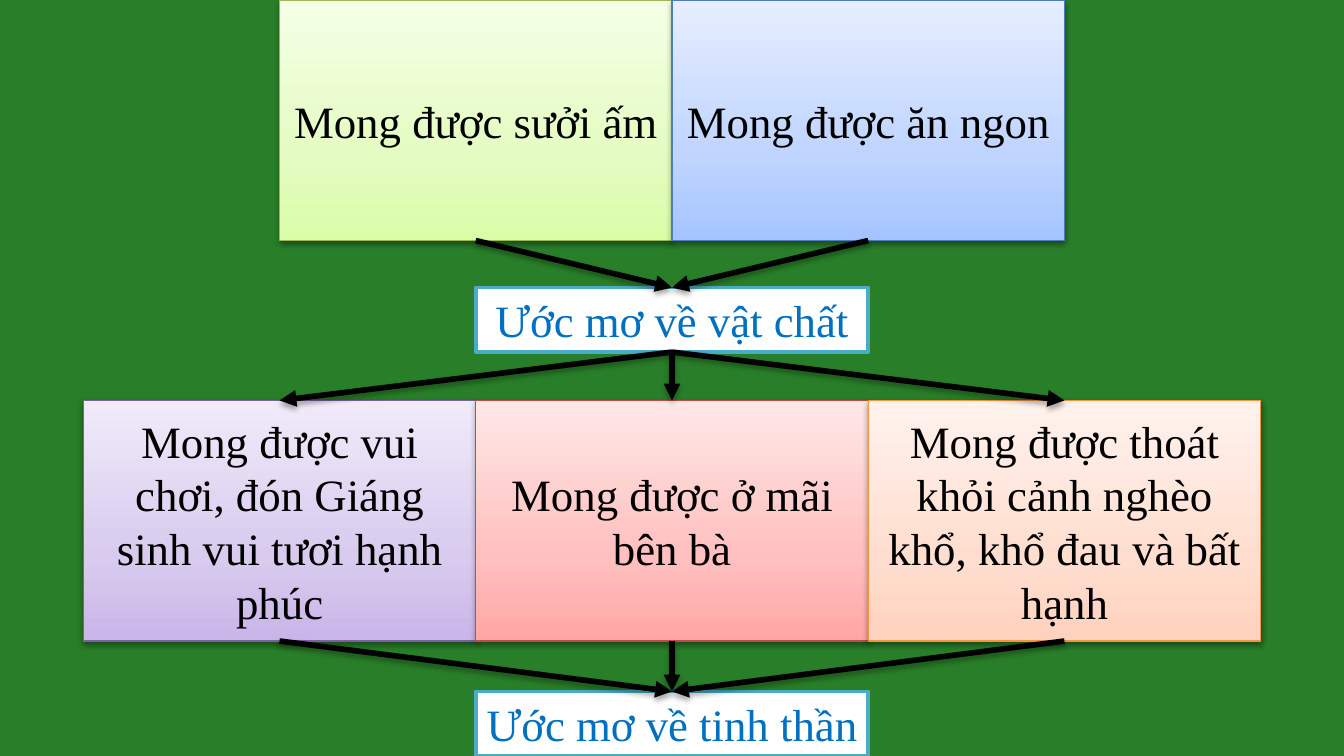
from lxml.etree import SubElement
from pptx import Presentation
from pptx.dml.color import RGBColor
from pptx.enum.shapes import MSO_CONNECTOR, MSO_SHAPE
from pptx.enum.text import MSO_ANCHOR, MSO_AUTO_SIZE, PP_ALIGN
from pptx.oxml.ns import qn
from pptx.util import Inches, Pt

# Each wish: text, gradient colours from bottom to top, outline colour
MATERIAL_WISHES = [
    ("Mong được sưởi ấm", ("DAFDA7", "E4FCC2", "F5FFE7"), "98B955"),
    ("Mong được ăn ngon", ("A4C4FF", "BFD4FF", "E6EEFF"), "4B7EBC"),
]
SPIRITUAL_WISHES = [
    ("Mong được vui chơi, đón Giáng sinh vui tươi hạnh phúc",
     ("C9B5E8", "D8CBEE", "F0EAF9"), "7D60A0"),
    ("Mong được ở mãi bên bà", ("FFA6A5", "FFC0BF", "FFE7E7"), "BF4C48"),
    ("Mong được thoát khỏi cảnh nghèo khổ, khổ đau và bất hạnh",
     ("FFD2BD", "FFDED0", "FFF2ED"), "F69240"),
]
MATERIAL_LABEL = "Ước mơ về vật chất"
SPIRITUAL_LABEL = "Ước mơ về tinh thần"

THEME = {
    "background": "297F29",
    "font": "Times New Roman",
    "size": 24,
    "wish_text": "000000",
    "label_text": "0070C0",
    "label_fill": "FFFFFF",
    "label_line": "4BACC6",
    "arrow": "000000",
    "shadow": "000000",
    "wish_line_width": 0.75,
    "label_line_width": 2,
    "arrow_width": 3,
}

SLIDE_WIDTH = 10
SLIDE_HEIGHT = SLIDE_WIDTH * 9 / 16
COLUMN = 2.92
WISH_HEIGHT, LABEL_HEIGHT = 1.79, 0.48
GAP_ABOVE_LABEL, GAP_BELOW_LABEL = 0.35, 0.36
MATERIAL_LABEL_TOP = WISH_HEIGHT + GAP_ABOVE_LABEL
SPIRITUAL_TOP = MATERIAL_LABEL_TOP + LABEL_HEIGHT + GAP_BELOW_LABEL
SPIRITUAL_LABEL_TOP = SLIDE_HEIGHT - LABEL_HEIGHT
GRADIENT_STOPS = (0, 35, 100)
TOP_SIDE, BOTTOM_SIDE = 0, 2


def color(name):
    return RGBColor.from_string(name)


def add_color(parent, value):
    return SubElement(parent, qn("a:srgbClr"), val=value)


def set_shadow(properties, opacity, distance):
    effects = SubElement(properties, qn("a:effectLst"))
    shadow = SubElement(effects, qn("a:outerShdw"), blurRad=str(Pt(3.1)),
                        dist=str(Pt(distance)), dir="5400000", rotWithShape="0")
    SubElement(add_color(shadow, THEME["shadow"]), qn("a:alpha"), val=str(opacity * 1000))


def set_gradient(shape, colors):
    """Fill the shape from bottom to top with one stop per colour."""
    shape.fill.gradient()
    gradient = shape.element.spPr.find(qn("a:gradFill"))
    for child in list(gradient):
        gradient.remove(child)
    stops = SubElement(gradient, qn("a:gsLst"))
    for position, value in zip(GRADIENT_STOPS, colors):
        add_color(SubElement(stops, qn("a:gs"), pos=str(position * 1000)), value)
    SubElement(gradient, qn("a:lin"), ang="16200000", scaled="0")


def add_box(slide, text, left, top, height, line, line_width, text_color):
    shape = slide.shapes.add_shape(MSO_SHAPE.RECTANGLE, Inches(left), Inches(top),
                                   Inches(COLUMN), Inches(height))
    shape.line.color.rgb = color(line)
    shape.line.width = Pt(line_width)
    frame = shape.text_frame
    frame.word_wrap = True
    frame.margin_left = frame.margin_right = Inches(0.07)
    frame.margin_top = frame.margin_bottom = Inches(0.04)
    paragraph = frame.paragraphs[0]
    paragraph.alignment = PP_ALIGN.CENTER
    run = paragraph.add_run()
    run.text = text
    run.font.name = THEME["font"]
    run.font.size = Pt(THEME["size"])
    run.font.color.rgb = color(text_color)
    return shape


def add_wishes(slide, wishes, top):
    """Add a centred row of touching wish boxes."""
    start = (SLIDE_WIDTH - COLUMN * len(wishes)) / 2
    shapes = []
    for index, (text, colors, line) in enumerate(wishes):
        shape = add_box(slide, text, start + index * COLUMN, top, WISH_HEIGHT,
                        line, THEME["wish_line_width"], THEME["wish_text"])
        shape.text_frame.vertical_anchor = MSO_ANCHOR.MIDDLE
        set_gradient(shape, colors)
        set_shadow(shape.element.spPr, 38, 1.6)
        shapes.append(shape)
    return shapes


def add_label(slide, text, top):
    shape = add_box(slide, text, (SLIDE_WIDTH - COLUMN) / 2, top, LABEL_HEIGHT,
                    THEME["label_line"], THEME["label_line_width"], THEME["label_text"])
    shape.shadow.inherit = False
    shape.fill.solid()
    shape.fill.fore_color.rgb = color(THEME["label_fill"])
    shape.text_frame.vertical_anchor = MSO_ANCHOR.TOP
    shape.text_frame.auto_size = MSO_AUTO_SIZE.SHAPE_TO_FIT_TEXT
    return shape


def add_arrow(slide, upper, lower):
    arrow = slide.shapes.add_connector(MSO_CONNECTOR.STRAIGHT, 0, 0, 0, 0)
    arrow.begin_connect(upper, BOTTOM_SIDE)
    arrow.end_connect(lower, TOP_SIDE)
    arrow.line.color.rgb = color(THEME["arrow"])
    arrow.line.width = Pt(THEME["arrow_width"])
    properties = arrow.element.spPr
    SubElement(properties.find(qn("a:ln")), qn("a:tailEnd"), type="triangle")
    set_shadow(properties, 35, 1.8)


def main():
    presentation = Presentation()
    presentation.slide_width = Inches(SLIDE_WIDTH)
    presentation.slide_height = Inches(SLIDE_HEIGHT)
    slide = presentation.slides.add_slide(presentation.slide_layouts[6])
    slide.background.fill.solid()
    slide.background.fill.fore_color.rgb = color(THEME["background"])

    spiritual = add_wishes(slide, SPIRITUAL_WISHES, SPIRITUAL_TOP)
    material = add_wishes(slide, MATERIAL_WISHES, 0)
    material_label = add_label(slide, MATERIAL_LABEL, MATERIAL_LABEL_TOP)
    spiritual_label = add_label(slide, SPIRITUAL_LABEL, SPIRITUAL_LABEL_TOP)

    for wish in material:
        add_arrow(slide, wish, material_label)
    for wish in spiritual:
        add_arrow(slide, material_label, wish)
        add_arrow(slide, wish, spiritual_label)
    presentation.save("out.pptx")


if __name__ == "__main__":
    main()
